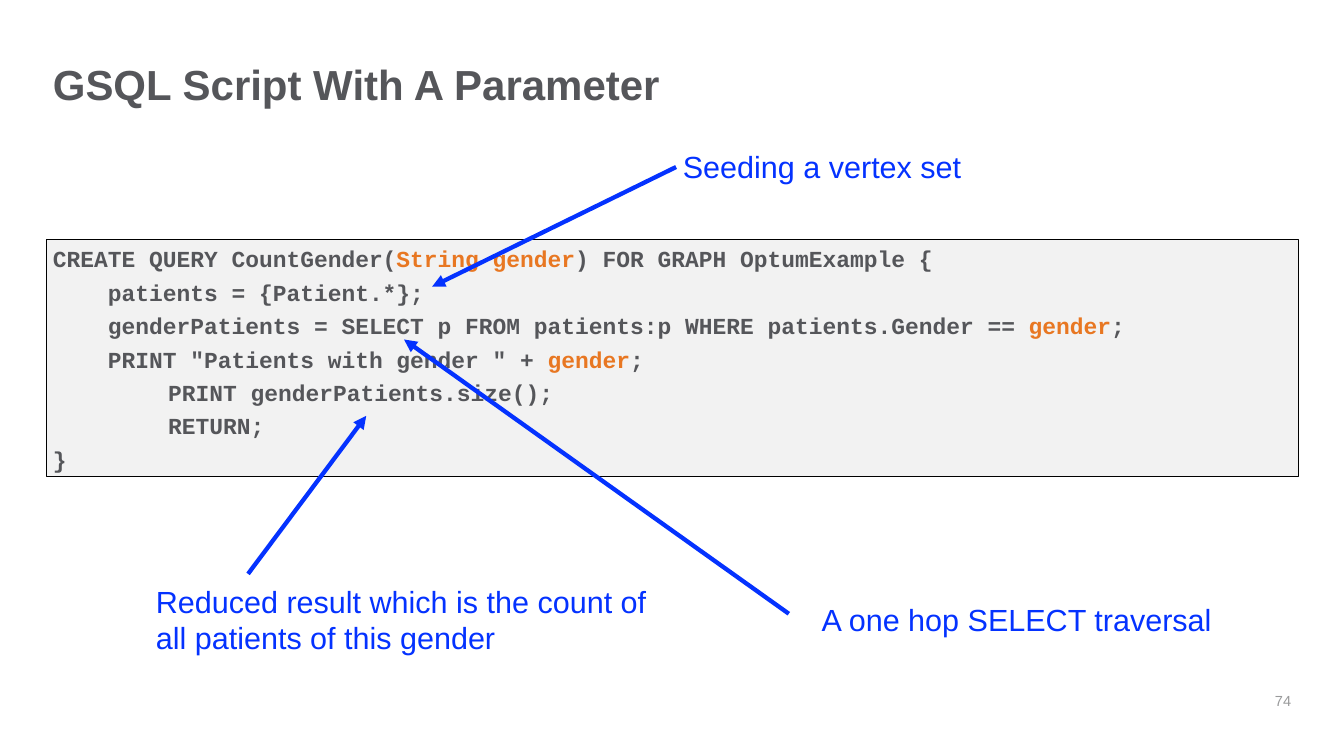
"""Build the slide that explains a GSQL script with a parameter."""
from dataclasses import dataclass

from lxml import etree
from pptx import Presentation
from pptx.dml.color import RGBColor
from pptx.enum.shapes import MSO_CONNECTOR, MSO_SHAPE
from pptx.enum.text import MSO_ANCHOR, MSO_AUTO_SIZE, PP_ALIGN
from pptx.oxml.ns import qn
from pptx.util import Emu, Pt

STRAIGHT = MSO_CONNECTOR.STRAIGHT
RECTANGLE = MSO_SHAPE.RECTANGLE
TOP, MIDDLE = MSO_ANCHOR.TOP, MSO_ANCHOR.MIDDLE
LEFT, RIGHT = PP_ALIGN.LEFT, PP_ALIGN.RIGHT
NO_AUTOFIT = MSO_AUTO_SIZE.NONE

EMU_PER_PX = 9144
SLIDE_WIDTH, SLIDE_HEIGHT = 1956, 1100
MARGIN, CONTENT_WIDTH = 67, 1822
CODE_TAB = 128
GREY, ORANGE, BLUE = "55565A", "E87722", "0432FF"
PALE_GREY, BLACK, PAGE_GREY = "F2F2F2", "000000", "999A9B"
TITLE_ONLY = 5

CODE = [
    [("CREATE QUERY CountGender(", GREY), ("String gender", ORANGE),
     (") FOR GRAPH OptumExample {", GREY)],
    [("    patients = {Patient.*};", GREY)],
    [("    genderPatients = SELECT p FROM patients:p WHERE patients.Gender == ", GREY),
     ("gender", ORANGE), (";", GREY)],
    [("    PRINT \"Patients with gender \" + ", GREY), ("gender", ORANGE), (";", GREY)],
    [("\t  PRINT genderPatients.size();", GREY)],
    [("\t  RETURN;", GREY)],
    [("}", GREY)],
]


@dataclass(frozen=True)
class Callout:
    """A remark with an arrow to the code it explains."""
    text: str
    box: tuple[int, int, int, int]
    start: tuple[int, int]
    end: tuple[int, int]


CALLOUTS = [
    Callout("Seeding a vertex set", (984, 211, 441, 64), (984, 243), (629, 417)),
    Callout("A one hop SELECT traversal", (1186, 870, 605, 64), (1148, 893), (588, 494)),
    Callout("Reduced result which is the count of all patients of this gender",
            (217, 843, 761, 118), (361, 835), (533, 605)),
]


def px(*lengths: int) -> list[Emu]:
    """Turn pixel lengths into EMU."""
    return [Emu(length * EMU_PER_PX) for length in lengths]


def colour(value: str) -> RGBColor:
    """Turn a hex string into a colour."""
    return RGBColor.from_string(value)


def write(shape, lines, *, size: float, font: str = "Arial", bold: bool = False,
          align=LEFT, anchor=TOP, inset: int = 10, spacing: float = 1.0,
          after: float = 0, tab: int = 0) -> None:
    """Fill a shape with lines made of (text, colour) runs."""
    frame = shape.text_frame
    frame.word_wrap = True
    frame.auto_size = NO_AUTOFIT
    frame.vertical_anchor = anchor
    frame.margin_left, frame.margin_right = px(10, 10)
    frame.margin_top, frame.margin_bottom = px(inset, inset)
    for index, runs in enumerate(lines):
        paragraph = frame.add_paragraph() if index else frame.paragraphs[0]
        paragraph.alignment = align
        paragraph.line_spacing = spacing
        paragraph.space_before, paragraph.space_after = Pt(0), Pt(after)
        if tab:
            stops = etree.SubElement(paragraph._p.get_or_add_pPr(), qn("a:tabLst"))
            etree.SubElement(stops, qn("a:tab"), pos=str(px(tab)[0]), algn="l")
        for text, run_colour in runs:
            run = paragraph.add_run()
            run.text = text
            run.font.name, run.font.size, run.font.bold = font, Pt(size), bold
            run.font.color.rgb = colour(run_colour)


def add_title(slide, text: str) -> None:
    """Place and format the title placeholder."""
    title = slide.shapes.title
    title.left, title.top, title.width, title.height = px(MARGIN, 84, CONTENT_WIDTH, 89)
    write(title, [[(text, GREY)]], size=44, bold=True, spacing=0.9)


def add_code(slide) -> None:
    """Draw the framed code listing."""
    listing = slide.shapes.add_shape(RECTANGLE, *px(MARGIN, 349, CONTENT_WIDTH, 344))
    listing.shadow.inherit = False
    listing.fill.solid()
    listing.fill.fore_color.rgb = colour(PALE_GREY)
    listing.line.color.rgb = colour(BLACK)
    listing.line.width = Pt(0.75)
    write(listing, CODE, size=24, font="Courier New", bold=True,
          spacing=0.95, after=7.7, tab=CODE_TAB)


def add_callout(slide, callout: Callout) -> None:
    """Draw a remark and its arrow."""
    arrow = slide.shapes.add_connector(STRAIGHT, *px(*callout.start, *callout.end))
    arrow.line.color.rgb = colour(BLUE)
    arrow.line.width = Pt(4.5)
    etree.SubElement(arrow.line._get_or_add_ln(), qn("a:tailEnd"), type="triangle")
    etree.SubElement(arrow._element.spPr, qn("a:effectLst"))
    remark = slide.shapes.add_textbox(*px(*callout.box))
    write(remark, [[(callout.text, BLUE)]], size=32, inset=5)


def main() -> None:
    """Build and save the slide."""
    deck = Presentation()
    deck.slide_width, deck.slide_height = px(SLIDE_WIDTH, SLIDE_HEIGHT)
    slide = deck.slides.add_slide(deck.slide_layouts[TITLE_ONLY])
    add_title(slide, "GSQL Script With A Parameter")
    add_code(slide)
    page_number = slide.shapes.add_textbox(*px(1772, 977, 117, 84))
    write(page_number, [[("74", PAGE_GREY)]], size=15.3, align=RIGHT, anchor=MIDDLE)
    for callout in CALLOUTS:
        add_callout(slide, callout)
    deck.save("out.pptx")


if __name__ == "__main__":
    main()
